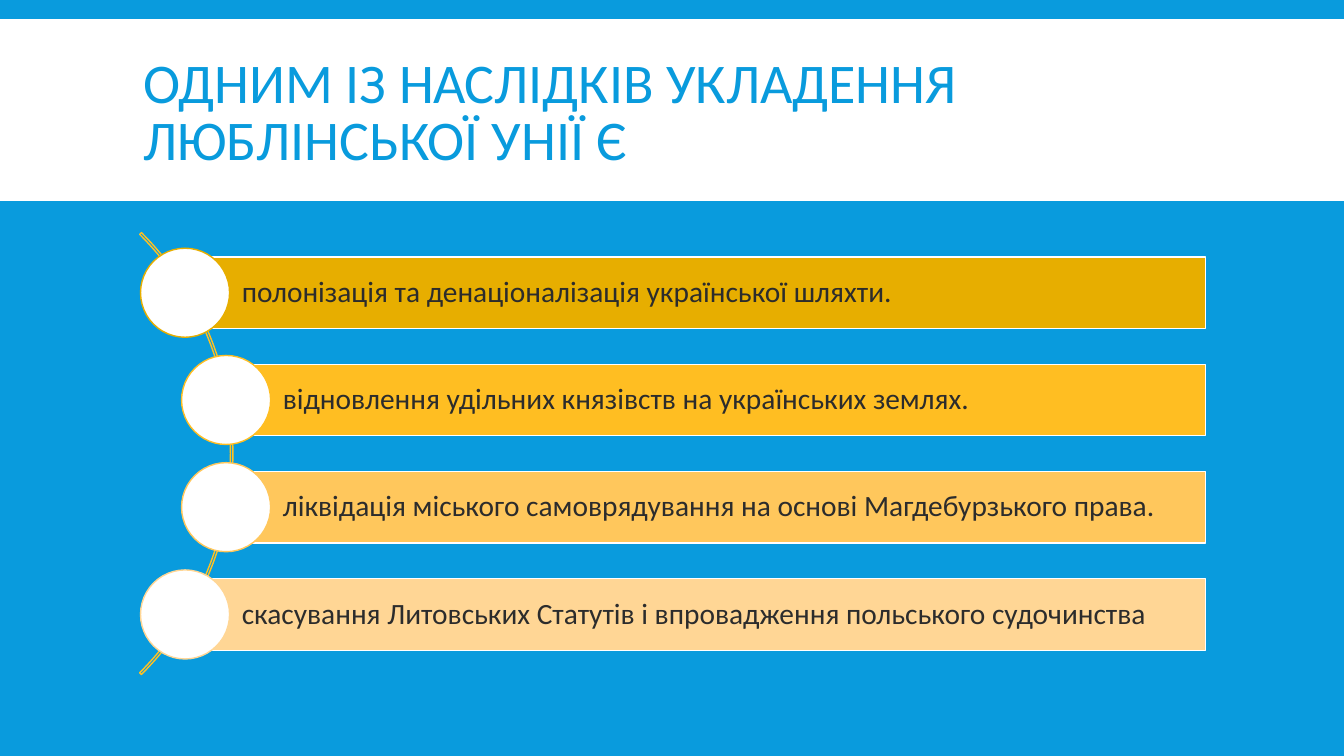
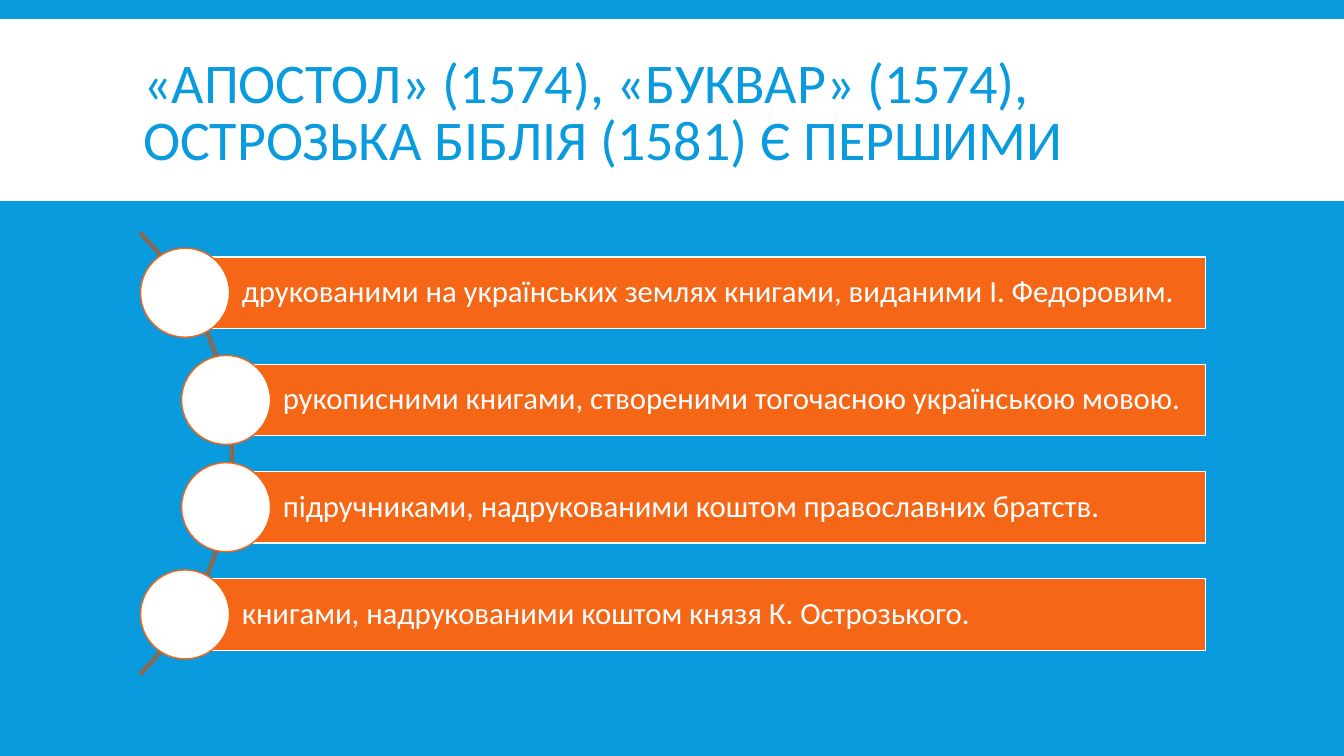
from dataclasses import dataclass

from pptx import Presentation
from pptx.dml.color import RGBColor as RGB
from pptx.enum.shapes import MSO_SHAPE as Kind
from pptx.enum.text import MSO_ANCHOR as Anchor, MSO_AUTO_SIZE as Fit, PP_ALIGN as Align
from pptx.util import Pt


@dataclass(frozen=True)
class Theme:
    font: str = "Calibri"
    blue: str = "099BDD"
    white: str = "FFFFFF"
    dark: str = "2C2C2C"
    gold: str = "FFC122"
    rust: str = "C45212"
    warm: tuple = ("E7AE00", "FFBE22", "FFC75C", "FFD695")
    flame: tuple = ("F56617",) * 4
    head: int = 40
    small: int = 21
    large: int = 22


def write(frame, text, *, size, color, gap):
    frame.word_wrap = True
    frame.vertical_anchor = Anchor.MIDDLE
    frame.text = text
    para = frame.paragraphs[0]
    para.alignment = Align.LEFT
    para.line_spacing = gap
    font = para.runs[0].font
    font.name = theme.font
    font.size = Pt(size)
    font.color.rgb = RGB.from_string(color)


def draw(slide, kind, box, fill=None, line=None):
    """Add a shape at box (left, top, width, height); None leaves fill or line off."""
    shape = slide.shapes.add_shape(kind, *map(Pt, box))
    shape.shadow.inherit = False
    if fill:
        shape.fill.solid()
        shape.fill.fore_color.rgb = RGB.from_string(fill)
    else:
        shape.fill.background()
    if line:
        shape.line.color.rgb = RGB.from_string(line)
        shape.line.width = Pt(1)
    else:
        shape.line.fill.background()
    return shape


theme = Theme()
pages = [
    ("ОДНИМ ІЗ НАСЛІДКІВ УКЛАДЕННЯ ЛЮБЛІНСЬКОЇ УНІЇ Є",
     theme.warm, theme.gold, theme.dark, theme.small,
     ["полонізація та денаціоналізація української шляхти.",
      "відновлення удільних князівств на українських землях.",
      "ліквідація міського самоврядування на основі Магдебурзького права.",
      "скасування Литовських Статутів і впровадження польського судочинства"]),
    ("«АПОСТОЛ» (1574), «БУКВАР» (1574), ОСТРОЗЬКА БІБЛІЯ (1581) Є ПЕРШИМИ",
     theme.flame, theme.rust, theme.white, theme.large,
     ["друкованими на українських землях книгами, виданими І. Федоровим.",
      "рукописними книгами, створеними тогочасною українською мовою.",
      "підручниками, надрукованими коштом православних братств.",
      "книгами, надрукованими коштом князя К. Острозького."]),
]

deck = Presentation()
deck.slide_width, deck.slide_height = Pt(960), Pt(540)

# Shared look: blue ground and white title band on the master, title place on the layout
master = deck.slide_master
master.background.fill.solid()
master.background.fill.fore_color.rgb = RGB.from_string(theme.blue)
layout = deck.slide_layouts.get_by_name("Title Only")
title = layout.placeholders[0]
title.left, title.top, title.width, title.height = map(Pt, (95, 22.4, 770, 118.8))
title.text_frame.auto_size = Fit.NONE

slides = [deck.slides.add_slide(layout) for page in pages]
band = draw(slides[0], Kind.RECTANGLE, (0, 13.6, 960, 129.9), theme.white)
master.shapes._spTree.insert(2, band._element)

# Bars start at the centres of the dots, which follow the arc
mid, pitch, right = 324, 76.6, 861
bar, dot, arc = 51.1, 63.6, 446.4
starts = [132.2, 161.5, 161.5, 132.2]

for slide, (head, fills, edge, ink, size, lines) in zip(slides, pages):
    write(slide.shapes.title.text_frame, head, size=theme.head, color=theme.blue, gap=0.85)
    curve = draw(slide, Kind.BLOCK_ARC, (-280, mid - arc / 2, arc, arc), line=edge)
    for i, turn in enumerate((189, 27, 0.004)):
        curve.adjustments[i] = turn

    for i, (x, fill, text) in enumerate(zip(starts, fills, lines)):
        y = mid + (i - 1.5) * pitch
        row = draw(slide, Kind.RECTANGLE, (x, y - bar / 2, right - x, bar), fill, theme.white)
        frame = row.text_frame
        frame.margin_left = Pt(40.5)
        frame.margin_top = frame.margin_right = frame.margin_bottom = Pt(4.2)
        write(frame, text, size=size, color=ink, gap=0.9)
        draw(slide, Kind.OVAL, (x - dot / 2, y - dot / 2, dot, dot), theme.white, fill)

deck.save("out.pptx")
